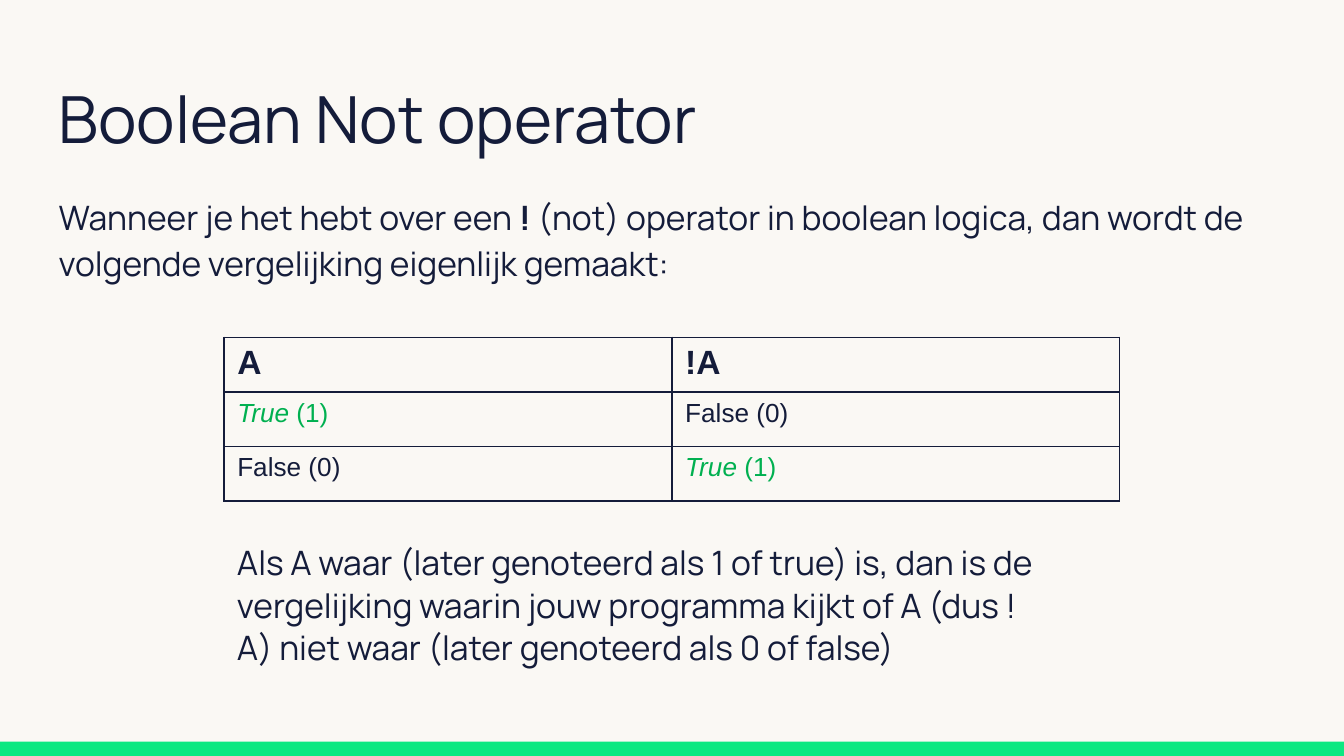
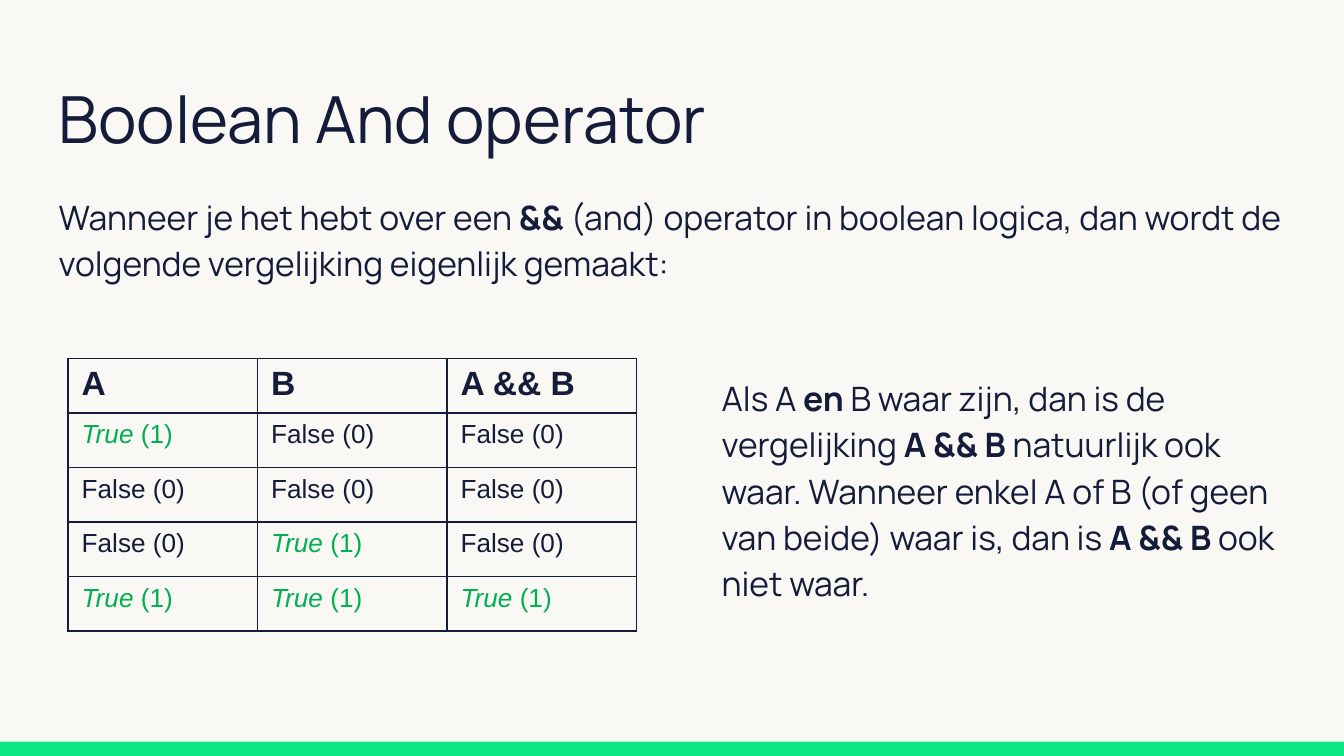
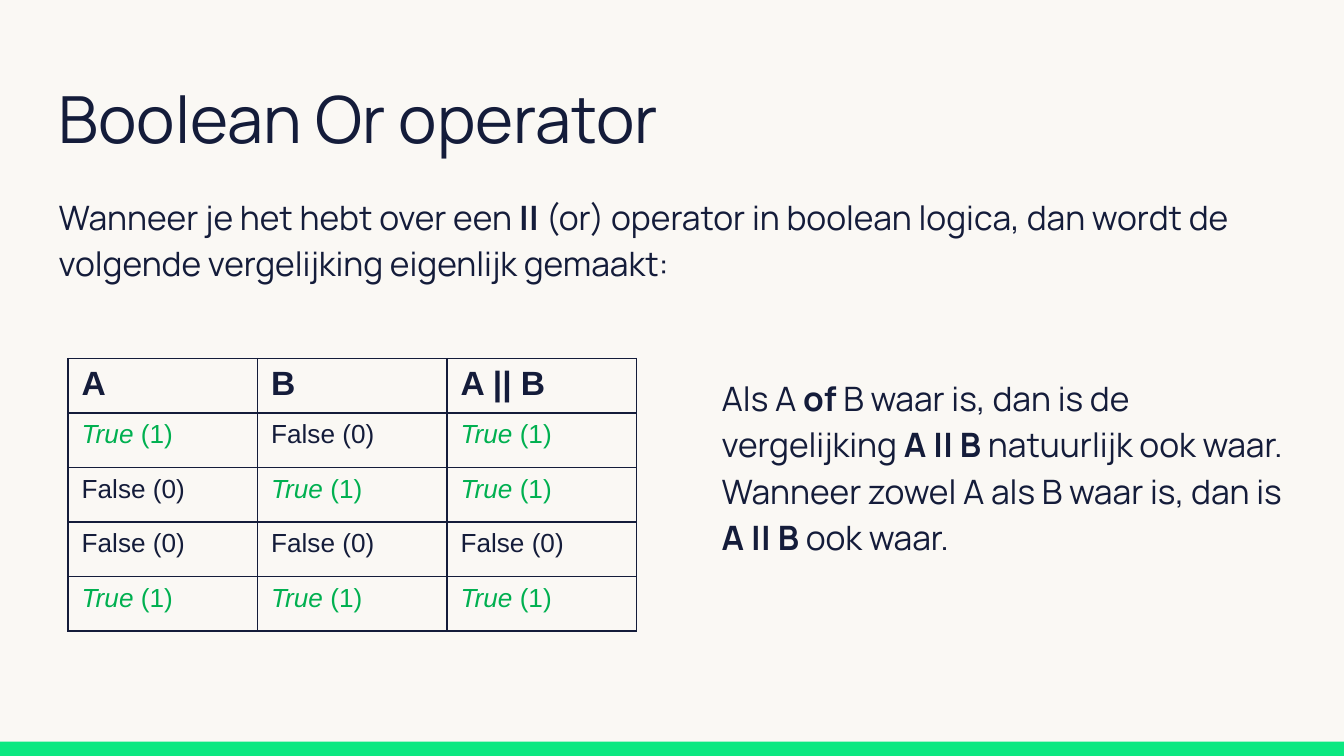
from dataclasses import dataclass

from lxml import etree
from pptx import Presentation
from pptx.dml.color import RGBColor
from pptx.enum.shapes import MSO_SHAPE
from pptx.enum.text import MSO_ANCHOR, MSO_AUTO_SIZE, PP_ALIGN
from pptx.oxml.ns import qn
from pptx.util import Cm, Pt


@dataclass(frozen=True)
class Theme:
    paper: str = "FAF8F4"
    ink: str = "141C3A"
    band: str = "0BE881"
    true: str = "00B050"
    font: str = "Manrope"
    table_font: str = "Arial"
    title_size: float = 34.8
    text_size: float = 18
    cell_size: float = 14
    border: float = 1


THEME = Theme()
INTRO = ("Wanneer je het hebt over een *{} *({}) operator in boolean logica, "
         "dan wordt de volgende vergelijking eigenlijk gemaakt:")
T, F = True, False

SLIDES = [
    dict(name="Not", symbol="!", layout="stacked",
         header=["A", "!A"],
         rows=[(T, F), (F, T)],
         note="Als A waar (later genoteerd als 1 of true) is, dan is de vergelijking "
              "waarin jouw programma kijkt of A (dus !A) niet waar "
              "(later genoteerd als 0 of false)"),
    dict(name="And", symbol="&&", layout="beside",
         header=["A", "B", "A && B"],
         rows=[(T, F, F), (F, F, F), (F, T, F), (T, T, T)],
         note="Als A *en *B waar zijn, dan is de vergelijking *A && B *natuurlijk ook "
              "waar. Wanneer enkel A of B (of geen van beide) waar is, dan is "
              "*A && B *ook niet waar."),
    dict(name="Or", symbol="||", layout="beside",
         header=["A", "B", "A || B"],
         rows=[(T, F, T), (F, T, T), (F, F, F), (T, T, T)],
         note="Als A *of *B waar is, dan is de vergelijking *A || B *natuurlijk ook "
              "waar. Wanneer zowel A als B waar is, dan is *A || B *ook waar."),
]

PAGE = (25.4, 14.29)
BAND_HEIGHT = 0.27
TITLE_BOX = (0.86, 0.89, 23.67, 2.31)
INTRO_BOX = (0.86, 3.35, 23.67, 2.31)
ROW_HEIGHT = 1.03
LAYOUTS = {
    "stacked": dict(table=(4.23, 6.38, 16.93), note=(4.23, 9.96, 15.57, 3.96), spacing=1.05),
    "beside": dict(table=(1.29, 6.78, 10.74), note=(13.39, 6.78, 11.15, 5.16), spacing=1.15),
}


def rgb(value):
    return RGBColor.from_string(value)


def add_run(paragraph, text, size, font=THEME.font, color=THEME.ink, bold=False, italic=False):
    run = paragraph.add_run()
    run.text = text
    run.font.name, run.font.size = font, Pt(size)
    run.font.bold, run.font.italic = bold, italic
    run.font.color.rgb = rgb(color)


def set_frame(frame, anchor):
    frame.word_wrap = True
    frame.auto_size = MSO_AUTO_SIZE.NONE
    frame.vertical_anchor = anchor
    frame.margin_left = frame.margin_right = Cm(0.25)
    frame.margin_top = frame.margin_bottom = Cm(0.25)
    paragraph = frame.paragraphs[0]
    paragraph.alignment = PP_ALIGN.LEFT
    return paragraph


def add_title(slide, text):
    title = slide.shapes.title
    title.left, title.top, title.width, title.height = map(Cm, TITLE_BOX)
    add_run(set_frame(title.text_frame, MSO_ANCHOR.BOTTOM), text, THEME.title_size)


def add_text(slide, box, marked_text, spacing):
    frame = slide.shapes.add_textbox(*map(Cm, box)).text_frame
    paragraph = set_frame(frame, MSO_ANCHOR.TOP)
    paragraph.line_spacing = spacing
    for i, part in enumerate(marked_text.split("*")):
        add_run(paragraph, part, THEME.text_size, bold=i % 2 == 1)


def format_cell(cell):
    properties = cell._tc.get_or_add_tcPr()
    for side in ("a:lnL", "a:lnR", "a:lnT", "a:lnB"):
        line = etree.SubElement(properties, qn(side), w=str(Pt(THEME.border)))
        fill = etree.SubElement(line, qn("a:solidFill"))
        etree.SubElement(fill, qn("a:srgbClr"), val=THEME.ink)
    cell.fill.background()


def add_truth_table(slide, place, header, rows):
    left, top, width = place
    count = len(rows) + 1
    table = slide.shapes.add_table(count, len(header), Cm(left), Cm(top),
                                   Cm(width), Cm(count * ROW_HEIGHT)).table
    table.first_row = table.horz_banding = False
    for row in table.rows:
        row.height = Cm(ROW_HEIGHT)
    for r, values in enumerate([header, *rows]):
        for c, value in enumerate(values):
            cell = table.cell(r, c)
            format_cell(cell)
            paragraph = cell.text_frame.paragraphs[0]
            if r == 0:
                add_run(paragraph, value, THEME.text_size, THEME.table_font, bold=True)
            elif value:
                add_run(paragraph, "True ", THEME.cell_size, THEME.table_font,
                        THEME.true, italic=True)
                add_run(paragraph, "(1)", THEME.cell_size, THEME.table_font, THEME.true)
            else:
                add_run(paragraph, "False (0)", THEME.cell_size, THEME.table_font)


def set_up_master(master, slide):
    master.background.fill.solid()
    master.background.fill.fore_color.rgb = rgb(THEME.paper)
    width, height = PAGE
    band = slide.shapes.add_shape(MSO_SHAPE.RECTANGLE, 0, Cm(height - BAND_HEIGHT),
                                  Cm(width), Cm(BAND_HEIGHT))
    band.shadow.inherit = False
    band.fill.solid()
    band.fill.fore_color.rgb = rgb(THEME.band)
    band.line.fill.background()
    master.shapes.element.append(band.element)


deck = Presentation()
deck.slide_width, deck.slide_height = map(Cm, PAGE)
title_only = deck.slide_layouts.get_by_name("Title Only")

for content in SLIDES:
    slide = deck.slides.add_slide(title_only)
    if len(deck.slides) == 1:
        set_up_master(deck.slide_master, slide)
    places = LAYOUTS[content["layout"]]
    add_title(slide, f"Boolean {content['name']} operator")
    add_text(slide, INTRO_BOX, INTRO.format(content["symbol"], content["name"].lower()), 1.15)
    add_truth_table(slide, places["table"], content["header"], content["rows"])
    add_text(slide, places["note"], content["note"], places["spacing"])

deck.save("out.pptx")
